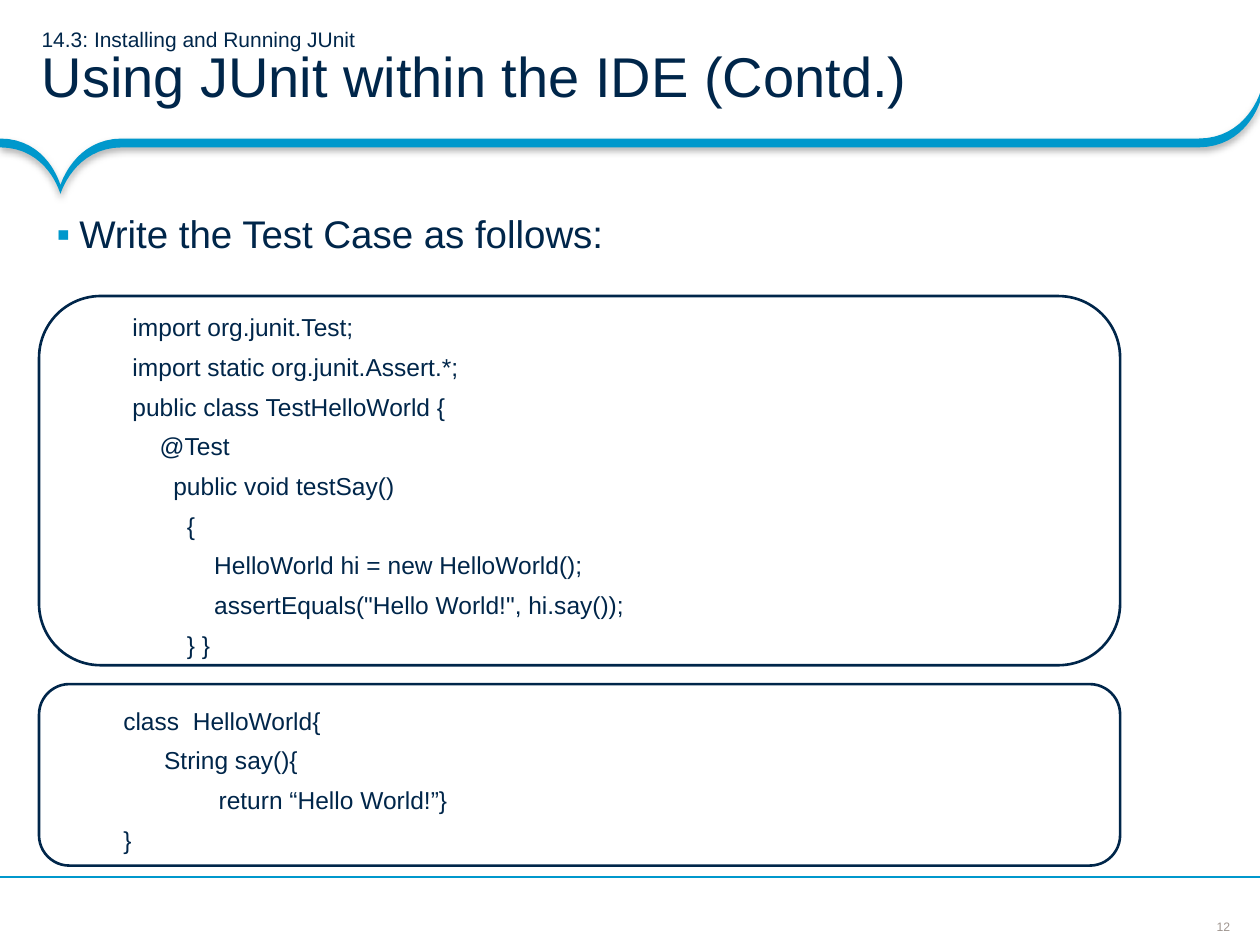
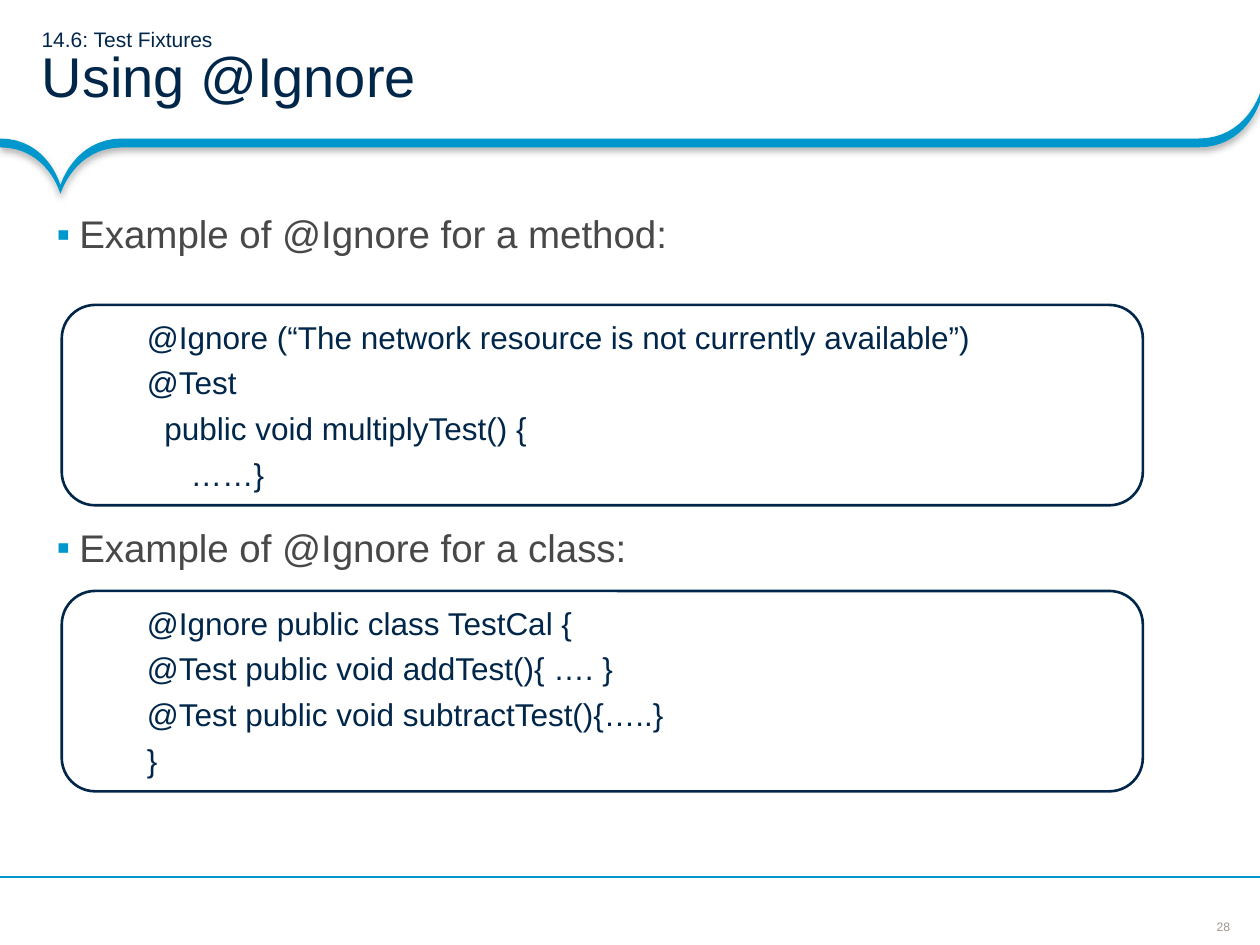
from dataclasses import dataclass

from lxml.etree import SubElement
from pptx import Presentation
from pptx.dml.color import RGBColor as Rgb
from pptx.enum.shapes import MSO_CONNECTOR as Link, MSO_SHAPE as Form
from pptx.enum.text import MSO_ANCHOR as Anchor, MSO_AUTO_SIZE as Fit, PP_ALIGN as Align
from pptx.oxml.ns import qn
from pptx.util import Inches, Pt


@dataclass(frozen=True)
class Theme:
    font: str = "Arial"
    navy: Rgb = Rgb(0x00, 0x26, 0x4A)
    blue: Rgb = Rgb(0x00, 0x98, 0xCC)
    gray: Rgb = Rgb(0x48, 0x48, 0x48)
    dim: Rgb = Rgb(0x9F, 0x95, 0x8F)
    topic: int = 12
    title: int = 32
    body: int = 22
    page: int = 7
    space: float = 0.278


def bend(flat, pull, tip, steps=16):
    points = []
    for i in range(steps + 1):
        t = i / steps
        u = 1 - t
        points.append(tuple(
            u**3 * a + 3 * u * u * t * b + (3 * u * t * t + t**3) * c
            for a, b, c in zip(flat, pull, tip)))
    return points


class Deck:
    def __init__(self, theme):
        self.theme = theme
        self.show = Presentation()
        self.show.slide_width = Inches(10)
        self.show.slide_height = Inches(7.5)
        self.slide = None

    def start(self, topic, title, page):
        self.slide = self.show.slides.add_slide(self.show.slide_layouts[5])
        self.band()
        self.rule()
        self.number(page)
        self.head(topic, title)

    def style(self, run, size, color):
        run.font.name = self.theme.font
        run.font.size = Pt(size)
        run.font.color.rgb = color

    def frame(self, shape, anchor, inset, wrap=True):
        frame = shape.text_frame
        frame.word_wrap = wrap
        frame.auto_size = Fit.NONE
        frame.vertical_anchor = anchor
        sides = ("left", "top", "right", "bottom")
        for side, gap in zip(sides, inset):
            setattr(frame, f"margin_{side}", Inches(gap))
        return frame

    def box(self, left, top, width, height):
        return self.slide.shapes.add_textbox(
            Inches(left), Inches(top), Inches(width), Inches(height))

    def band(self):
        edge = (bend((0, 1.1), (0.38, 1.1), (0.48, 1.47))
                + bend((0.97, 1.1), (0.59, 1.1), (0.48, 1.47))[::-1]
                + bend((9.51, 1.1), (9.89, 1.1), (10, 0.74)))
        under = [(x, y + 0.07) for x, y in reversed(edge)]
        points = [(Inches(x), Inches(y)) for x, y in edge + under]
        pen = self.slide.shapes.build_freeform(*points[0])
        pen.add_line_segments(points[1:], close=True)
        shape = pen.convert_to_shape()
        shape.fill.solid()
        shape.fill.fore_color.rgb = self.theme.blue
        shape.line.fill.background()
        shape.shadow.inherit = False
        effects = shape._element.spPr.find(qn("a:effectLst"))
        shade = SubElement(effects, qn("a:outerShdw"), blurRad=str(Pt(4)),
                           dist=str(Pt(2)), dir="5400000", rotWithShape="0")
        black = SubElement(shade, qn("a:srgbClr"), val="000000")
        SubElement(black, qn("a:alpha"), val="31000")

    def rule(self):
        line = self.slide.shapes.add_connector(
            Link.STRAIGHT, Inches(10), Inches(6.96), Inches(0), Inches(6.96))
        line.line.color.rgb = self.theme.blue
        line.line.width = Pt(0.75)
        SubElement(line._element.spPr, qn("a:effectLst"))

    def number(self, page):
        frame = self.frame(self.box(9.65, 7.29, 0.12, 0.12),
                           Anchor.MIDDLE, (0, 0, 0, 0), wrap=False)
        frame.text = str(page)
        para = frame.paragraphs[0]
        para.alignment = Align.CENTER
        self.style(para.runs[0], self.theme.page, self.theme.dim)

    def head(self, topic, title):
        shape = self.slide.shapes.title
        shape.left, shape.top = Inches(0), Inches(0)
        shape.width, shape.height = Inches(10), Inches(1.1)
        frame = self.frame(shape, Anchor.MIDDLE, (0.33, 0.04, 0.18, 0.04))
        frame.text = f"{topic}\v{title}"
        para = frame.paragraphs[0]
        para.alignment = Align.LEFT
        para.line_spacing = 0.85
        for run, size in zip(para.runs, (self.theme.topic, self.theme.title)):
            self.style(run, size, self.theme.navy)
        for stop in para._p.findall(qn("a:br")):
            SubElement(stop, qn("a:rPr"), sz=str(self.theme.topic * 100))

    def points(self, lines, color, gap=0):
        frame = self.frame(self.box(0.33, 1.63, 9.67, 5.08),
                           Anchor.TOP, (0.12, 0.08, 0.08, 0.08))
        frame.text = "\n".join(lines)
        for i, para in enumerate(frame.paragraphs):
            para.line_spacing = 0.9
            para.space_before = Pt(gap if i else 0)
            para.space_after = Pt(6)
            props = para._p.get_or_add_pPr()
            props.set("marL", str(Inches(0.18)))
            props.set("indent", str(Inches(-0.18)))
            tint = SubElement(props, qn("a:buClr"))
            SubElement(tint, qn("a:srgbClr"), val=str(self.theme.blue))
            SubElement(props, qn("a:buFont"), typeface=self.theme.font)
            SubElement(props, qn("a:buChar"), char="▪")
            self.style(para.runs[0], self.theme.body, color)

    def code(self, left, top, height, lines, size, leading=1.0, before=0):
        shape = self.slide.shapes.add_shape(
            Form.ROUNDED_RECTANGLE, Inches(left), Inches(top),
            Inches(8.58), Inches(height))
        shape.adjustments[0] = 0.167
        shape.shadow.inherit = False
        shape.fill.background()
        shape.line.color.rgb = self.theme.navy
        shape.line.width = Pt(1.5)
        frame = self.frame(shape, Anchor.MIDDLE, (0.1, 0.05, 0.1, 0.05))
        frame.text = "\n".join(text for _, text in lines)
        for para, (depth, _) in zip(frame.paragraphs, lines):
            para.alignment = Align.LEFT
            para.line_spacing = leading
            para.space_before = Pt(before)
            inset = Inches(0.5) + Pt(depth * size * self.theme.space)
            props = para._p.get_or_add_pPr()
            props.set("marL", str(inset))
            props.set("indent", "0")
            self.style(para.runs[0], size, self.theme.navy)

    def save(self):
        self.show.save("out.pptx")


def main():
    theme = Theme()
    deck = Deck(theme)

    deck.start("14.3: Installing and Running JUnit",
               "Using JUnit within the IDE (Contd.)", 12)
    deck.points(["Write the Test Case as follows:"], theme.navy)
    hello = [
        (0, "class  HelloWorld{"),
        (6, "String say(){"),
        (14, "return “Hello World!”}"),
        (0, "}"),
    ]
    test = [
        (0, "import org.junit.Test;"),
        (0, "import static org.junit.Assert.*;"),
        (0, "public class TestHelloWorld {"),
        (4, "@Test"),
        (6, "public void testSay()"),
        (8, "{"),
        (12, "HelloWorld hi = new HelloWorld();"),
        (12, 'assertEquals("Hello World!", hi.say());'),
        (8, "} }"),
    ]
    for top, height, lines in ((5.43, 1.44, hello), (2.35, 2.93, test)):
        deck.code(0.31, top, height, lines, 14, leading=1.35)

    deck.start("14.6: Test Fixtures", "Using @Ignore", 28)
    deck.points(["Example of @Ignore for a method:",
                 "Example of @Ignore for a class:"], theme.gray, gap=149.5)
    method = [
        (0, "@Ignore (“The network resource is not currently available”)"),
        (0, "@Test"),
        (2, "public void multiplyTest() {"),
        (5, "……}"),
    ]
    group = [
        (0, "@Ignore public class TestCal {"),
        (0, "@Test public void addTest(){ …. }"),
        (0, "@Test public void subtractTest(){…..}"),
        (0, "}"),
    ]
    for top, lines in ((2.42, method), (4.69, group)):
        deck.code(0.49, top, 1.59, lines, 18, before=4.45)

    deck.save()


if __name__ == "__main__":
    main()
